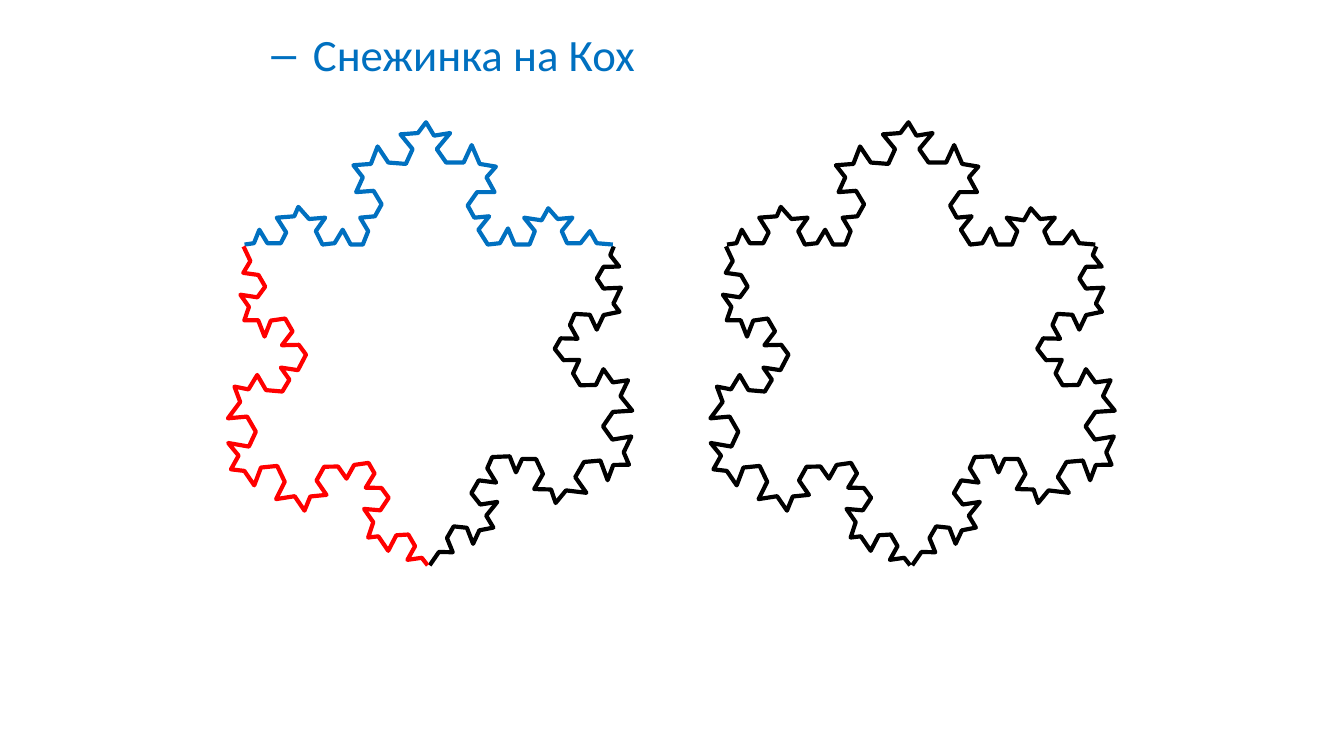
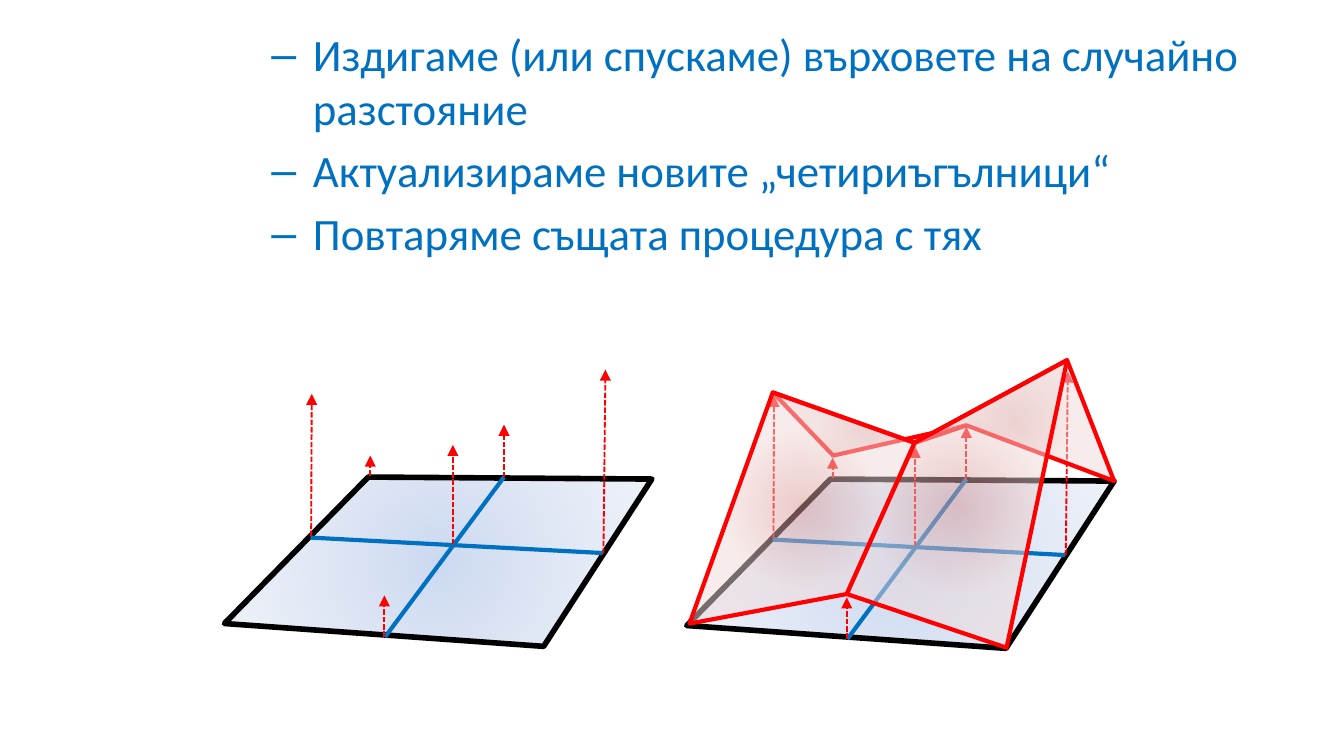
import math

import pptx
import pptx.dml.color
import pptx.enum.dml
import pptx.enum.shapes
import pptx.oxml
import pptx.oxml.ns
import pptx.util
from lxml import etree

COLORS = {"blue": "0070C0", "red": "FF0000", "black": "000000"}
# Radial gradients, from the centre outwards
GRADIENTS = {
    "plane": ("9AB5E4", "C2D1ED", "E1E8F5"),
    "facet": ("D99694", "F2DCDB", "F2DCDB"),
}
FONT = "Calibri"
COLUMNS, ROWS = 100, 56.25
CELL = pptx.util.Inches(10) / COLUMNS

# One side of the snowflake, in grid cells; the other two are its rotations
KOCH_SIDE = [
    (18.2, 18.2), (18.9, 18.1), (19.3, 17.1), (19.9, 18.1), (20.9, 18.1),
    (21.3, 17.3), (20.6, 16.2), (21.9, 16.1), (22.2, 15.4), (23, 16.3),
    (24.2, 16.2), (23.5, 17.2), (24, 18.2), (24.9, 18.1), (25.5, 17.1),
    (26.1, 18.2), (27, 18.2), (27.4, 17.2), (26.8, 16.2), (27.9, 16.1),
    (28.4, 15.2), (27.8, 14.2), (26.5, 14.3), (27, 13.2), (26.3, 12.3),
    (27.6, 12.2), (28.1, 10.9), (28.9, 12.1), (30.2, 12.2), (30.7, 11.1),
    (29.8, 10), (31.1, 9.9), (31.7, 9.1), (32.3, 10.1), (33.5, 9.9),
    (32.5, 11.1), (33.2, 12.1), (34.5, 12.1), (35.1, 10.8), (35.7, 12.2),
    (36.9, 12.4), (36.2, 13.2), (36.8, 14.3), (35.5, 14.3), (34.8, 15.3),
    (35.3, 16.2), (36.4, 16.1), (35.6, 17.1), (36.3, 18.2), (37.2, 18.1),
    (37.8, 17), (38.3, 18.2), (39.4, 18.2), (39.8, 17.2), (39, 16.2),
    (40.3, 16.4), (40.8, 15.5), (41.5, 16.3), (42.6, 16.2), (41.8, 17.2),
    (42.2, 18.1), (43.2, 18.1), (43.9, 17.2), (44.4, 18.1), (45.6, 18.2),
]
KOCH_CENTER = (31.9, 26.2)
SNOWFLAKE_GAP = 35.9

PLANE = [(16.7, 46.4), (27.4, 35.5), (48.5, 35.65), (40.45, 48.1)]
MIDLINES = [((44.85, 41.15), (23.1, 40)), ((28.65, 47.4), (37.5, 35.5))]
LIFTS = [
    ((27.55, 35.4), (27.55, 33.9)),
    ((37.5, 35.5), (37.5, 31.6)),
    ((23.15, 39.9), (23.2, 29.3)),
    ((44.9, 41.2), (45.05, 27.5)),
    ((33.7, 40.5), (33.7, 33.1)),
    ((28.6, 47.4), (28.6, 44.3)),
]
PLANE_SHIFT = (34.4, 0.15)


def shifted(points, dx, dy=0):
    return [(x + dx, y + dy) for x, y in points]


def rotated(points, center, degrees):
    cosine, sine = math.cos(math.radians(degrees)), math.sin(math.radians(degrees))
    cx, cy = center
    return [(cx + (x - cx) * cosine - (y - cy) * sine,
             cy + (x - cx) * sine + (y - cy) * cosine) for x, y in points]


def add_child(parent, tag, **attributes):
    return etree.SubElement(parent, pptx.oxml.ns.qn(tag), **attributes)


def write_bullet(paragraph, text, *, size=24, color="blue", font=FONT, space_before=0):
    """Fill a paragraph with dash-bulleted text on the second level."""
    paragraph.level = 1
    properties = paragraph._p.get_or_add_pPr()
    properties.set("marL", str(pptx.util.Inches(0.81)))
    properties.set("indent", str(pptx.util.Inches(-0.31)))
    add_child(properties, "a:buFont", typeface="Arial")
    add_child(properties, "a:buChar", char="–")
    paragraph.space_before = pptx.util.Pt(space_before)
    run = paragraph.add_run()
    run.text = text
    run.font.name = font
    run.font.size = pptx.util.Pt(size)
    run.font.color.rgb = pptx.dml.color.RGBColor.from_string(COLORS[color])


class Deck:
    def __init__(self):
        self.presentation = pptx.Presentation()
        self.presentation.slide_width = self.cells(COLUMNS)
        self.presentation.slide_height = self.cells(ROWS)
        self.slide = None

    def cells(self, count):
        return pptx.util.Emu(round(count * CELL))

    def new_slide(self):
        self.slide = self.presentation.slides.add_slide(
            self.presentation.slide_layouts[6])

    def bullets(self, *texts):
        box = self.slide.shapes.add_textbox(
            *map(self.cells, (14.2, 1.5, 85.8, 51.7)))
        frame = box.text_frame
        frame.word_wrap = True
        for index, text in enumerate(texts):
            paragraph = frame.add_paragraph() if index else frame.paragraphs[0]
            write_bullet(paragraph, text, space_before=4.8 if index else 0)

    def style_line(self, line, color, width):
        line.color.rgb = pptx.dml.color.RGBColor.from_string(COLORS[color])
        line.width = pptx.util.Pt(width)

    def outline(self, points, color, width=2.25, gradient=None):
        """Draw an open polyline, or a closed polygon when a gradient is given."""
        start, *others = [(self.cells(x), self.cells(y)) for x, y in points]
        builder = self.slide.shapes.build_freeform(*start)
        builder.add_line_segments(others, close=gradient is not None)
        shape = builder.convert_to_shape()
        shape.shadow.inherit = False
        if gradient:
            self.radial_fill(shape, GRADIENTS[gradient])
        else:
            shape.fill.background()
        self.style_line(shape.line, color, width)
        add_child(shape.line._get_or_add_ln(), "a:round")

    def radial_fill(self, shape, stops):
        gradient = pptx.oxml.parse_xml(
            f'<a:gradFill {pptx.oxml.ns.nsdecls("a")} rotWithShape="1"><a:gsLst/>'
            '<a:path path="circle"><a:fillToRect l="50000" t="50000" r="50000" '
            'b="50000"/></a:path></a:gradFill>')
        for index, color in enumerate(stops):
            stop = add_child(gradient[0], "a:gs", pos=str(index * 50000))
            add_child(add_child(stop, "a:srgbClr", val=color), "a:alpha", val="50000")
        shape._element.spPr.insert(2, gradient)

    def segment(self, start, end, color, width=2.25):
        connector = self.slide.shapes.add_connector(
            pptx.enum.shapes.MSO_CONNECTOR.STRAIGHT, *map(self.cells, (*start, *end)))
        self.style_line(connector.line, color, width)
        add_child(connector._element.spPr, "a:effectLst")
        return connector

    def lift_arrow(self, start, end):
        line = self.segment(start, end, "red", 1).line
        line.dash_style = pptx.enum.dml.MSO_LINE.SQUARE_DOT
        add_child(line._get_or_add_ln(), "a:tailEnd", type="triangle")

    def snowflake(self, side_colors, dx=0):
        for degrees, color in side_colors.items():
            side = rotated(KOCH_SIDE, KOCH_CENTER, degrees)
            self.outline(shifted(side, dx), color)

    def plane(self, dx=0, dy=0):
        self.outline(shifted(PLANE, dx, dy), "black", 3, "plane")
        for midline in MIDLINES:
            self.segment(*shifted(midline, dx, dy), "blue")

    def lift_arrows(self, lifts, dx=0, dy=0):
        for lift in lifts:
            self.lift_arrow(*shifted(lift, dx, dy))

    def facets(self, *polygons):
        for polygon in polygons:
            self.outline(polygon, "red", gradient="facet")


def snowflake_slide(deck):
    deck.new_slide()
    deck.bullets("Снежинка на Кох")
    deck.snowflake({120: "black", 0: "blue", 240: "red"})
    deck.snowflake({120: "black", 0: "black", 240: "black"}, SNOWFLAKE_GAP)


def terrain_slide(deck):
    west, north, east, south = (51.3, 46.4), (62, 33.9), (82.9, 35.8), (74.9, 48.2)
    left_peak, right_peak = (57.5, 29.2), (79.4, 26.8)
    back, front, center = (71.9, 31.65), (63, 44.2), (68.05, 32.95)

    deck.new_slide()
    deck.plane(*PLANE_SHIFT)
    deck.lift_arrows(LIFTS[:1], *PLANE_SHIFT)
    deck.bullets("Издигаме (или спускаме) върховете на случайно разстояние",
                 "Актуализираме новите „четириъгълници“",
                 "Повтаряме същата процедура с тях")
    deck.facets((center, left_peak, north, back))
    deck.lift_arrows(LIFTS[1:], *PLANE_SHIFT)
    deck.facets((right_peak, center, back, east),
                (right_peak, center, front, south),
                (center, left_peak, west, front))
    deck.plane()
    deck.lift_arrows(LIFTS)


def main():
    deck = Deck()
    snowflake_slide(deck)
    terrain_slide(deck)
    deck.presentation.save("out.pptx")


if __name__ == "__main__":
    main()
